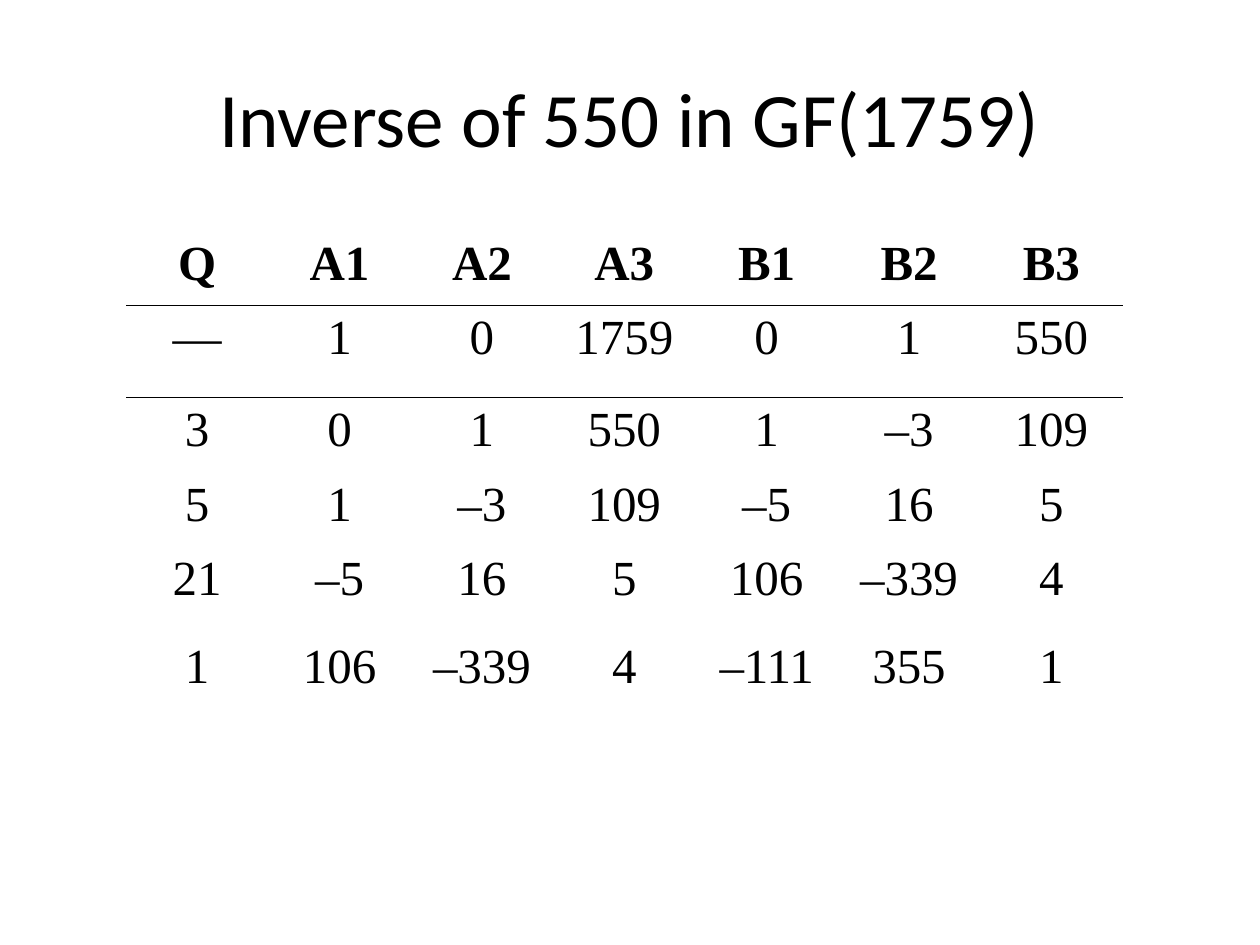
from lxml import etree
from pptx import Presentation
from pptx.dml.color import RGBColor
from pptx.enum.text import MSO_ANCHOR, PP_ALIGN
from pptx.oxml import parse_xml
from pptx.oxml.ns import nsdecls, qn
from pptx.util import Inches, Pt

COLORS = {"text": "000000", "rule": "000000"}
NO_STYLE = "{2D5ABB26-0587-4C30-8999-92F81FD0307C}"

HEADINGS = ["Q", "A1", "A2", "A3", "B1", "B2", "B3"]
STEPS = [
    ["—", "1", "0", "1759", "0", "1", "550"],
    ["3", "0", "1", "550", "1", "–3", "109"],
    ["5", "1", "–3", "109", "–5", "16", "5"],
    ["21", "–5", "16", "5", "106", "–339", "4"],
    ["1", "106", "–339", "4", "–111", "355", "1"],
]
ROW_HEIGHTS = [0.59, 0.73, 0.59, 0.59, 0.7, 1.04]
COLUMN_WIDTH = 1.13


def write(paragraph, text, font_name, size, bold=False):
    paragraph.alignment = PP_ALIGN.CENTER
    run = paragraph.add_run()
    run.text = text
    run.font.name = font_name
    run.font.size = Pt(size)
    run.font.bold = bold
    run.font.color.rgb = RGBColor.from_string(COLORS["text"])


def add_rule(cell, side):
    """Draw a thin line on one side of a cell: "lnT" or "lnB"."""
    line = parse_xml(f'<a:{side} {nsdecls("a")} w="{Pt(0.45)}"/>')
    fill = etree.SubElement(line, qn("a:solidFill"))
    etree.SubElement(fill, qn("a:srgbClr"), val=COLORS["rule"])
    cell._tc.get_or_add_tcPr().insert(0, line)


prs = Presentation()
prs.slide_width = Inches(10)
prs.slide_height = Inches(7.5)
slide = prs.slides.add_slide(prs.slide_layouts[6])

title = slide.shapes.add_textbox(Inches(0.5), Inches(0.3), Inches(9), Inches(1.25))
title.text_frame.word_wrap = True
title.text_frame.vertical_anchor = MSO_ANCHOR.MIDDLE
write(title.text_frame.paragraphs[0], "Inverse of 550 in GF(1759)", "Calibri", 44)

rows = [HEADINGS] + STEPS
euclid_frame = slide.shapes.add_table(
    len(rows), len(HEADINGS), Inches(1), Inches(1.83),
    Inches(COLUMN_WIDTH * len(HEADINGS)), Inches(sum(ROW_HEIGHTS)))
euclid = euclid_frame.table
euclid.horz_banding = False
euclid.first_row = False
euclid._tbl.tblPr.find(qn("a:tableStyleId")).text = NO_STYLE

for column in euclid.columns:
    column.width = Inches(COLUMN_WIDTH)

for r, (values, height) in enumerate(zip(rows, ROW_HEIGHTS)):
    euclid.rows[r].height = Inches(height)
    for c, value in enumerate(values):
        cell = euclid.cell(r, c)
        cell.fill.background()
        paragraph = cell.text_frame.paragraphs[0]
        paragraph.space_after = Pt(3)
        write(paragraph, value, "Times New Roman", 28, bold=(r == 0))
        if r == 0:
            add_rule(cell, "lnB")
        elif r == 1:
            add_rule(cell, "lnT")

prs.save("out.pptx")
